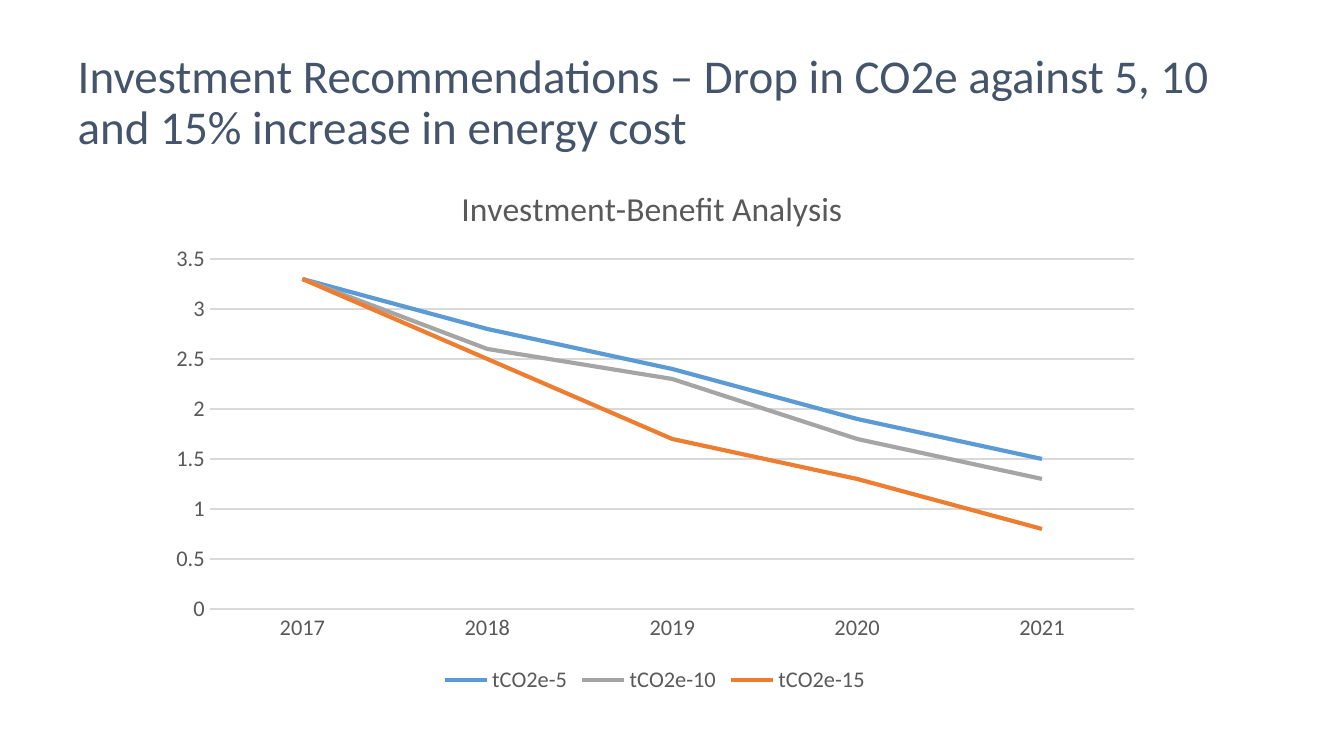
import pptx
import pptx.chart.data
import pptx.dml.color
import pptx.enum.chart
import pptx.enum.text
import pptx.oxml
import pptx.oxml.ns
import pptx.util
from pptx.util import Cm

HUES = {
    "title": "44546A",
    "text": "595959",
    "grid": "D9D9D9",
    "tCO2e-5": "5B9BD5",
    "tCO2e-10": "A5A5A5",
    "tCO2e-15": "ED7D31",
}


def style(font, size, hue):
    font.name = "Calibri"
    font.size = pptx.util.Pt(size)
    font.bold = False
    font.color.rgb = pptx.dml.color.RGBColor.from_string(HUES[hue])


def place(part, index, **sizes):
    """Give a chart part a fixed place, in fractions of the chart."""
    for old in part.findall(pptx.oxml.ns.qn("c:layout")):
        part.remove(old)
    inner = '<c:layoutTarget val="inner"/>' if "w" in sizes else ""
    modes = "".join(f'<c:{k}Mode val="edge"/>' for k in "xy")
    marks = "".join(f'<c:{k} val="{v}"/>' for k, v in sizes.items())
    part.insert(index, pptx.oxml.parse_xml(
        f'<c:layout {pptx.oxml.ns.nsdecls("c")}><c:manualLayout>'
        f"{inner}{modes}{marks}</c:manualLayout></c:layout>"))


deck = pptx.Presentation()
deck.slide_width, deck.slide_height = Cm(25.4), Cm(14.29)
slide = deck.slides.add_slide(deck.slide_layouts[6])

# Heading
box = slide.shapes.add_textbox(Cm(1.22), Cm(0.94), Cm(23.19), Cm(2.03))
frame = box.text_frame
frame.word_wrap = True
frame.vertical_anchor = pptx.enum.text.MSO_ANCHOR.MIDDLE
head = frame.paragraphs[0]
head.text = ("Investment Recommendations – Drop in CO2e against 5, 10 "
             "and 15% increase in energy cost")
head.line_spacing = 0.9
style(head.font, 25.2, "title")

# Chart data
data = pptx.chart.data.CategoryChartData()
data.categories = ["2017", "2018", "2019", "2020", "2021"]
data.add_series("tCO2e-5", [3.3, 2.8, 2.4, 1.9, 1.5])
data.add_series("tCO2e-10", [3.3, 2.6, 2.3, 1.7, 1.3])
data.add_series("tCO2e-15", [3.3, 2.5, 1.7, 1.3, 0.8])
chart = slide.shapes.add_chart(
    pptx.enum.chart.XL_CHART_TYPE.LINE,
    Cm(2.95), Cm(2.87), Cm(18.85), Cm(10.34), data).chart
style(chart.font, 12, "text")

# Chart title
chart.has_title = True
label = chart.chart_title.text_frame.paragraphs[0]
label.text = "Investment-Benefit Analysis"
style(label.font, 18, "text")
chart.chart_title.include_in_layout = False
place(chart.chart_title._element, 1, x=0.3, y=0.05)
place(chart._chartSpace.chart.plotArea, 0, x=0.054, y=0.196, w=0.927, h=0.64)

# Legend
chart.has_legend = True
chart.legend.position = pptx.enum.chart.XL_LEGEND_POSITION.BOTTOM
chart.legend.include_in_layout = False
style(chart.legend.font, 12, "text")

# Axes
years, tons = chart.category_axis, chart.value_axis
for axis in (years, tons):
    axis.major_tick_mark = pptx.enum.chart.XL_TICK_MARK.NONE
    axis.minor_tick_mark = pptx.enum.chart.XL_TICK_MARK.NONE
    style(axis.tick_labels.font, 12, "text")
tons.minimum_scale, tons.maximum_scale, tons.major_unit = 0, 3.5, 0.5
tons.has_major_gridlines = True
tons.format.line.fill.background()
for line in (years.format.line, tons.major_gridlines.format.line):
    line.color.rgb = pptx.dml.color.RGBColor.from_string(HUES["grid"])
    line.width = pptx.util.Pt(0.75)

# Lines
chart.plots[0].vary_by_categories = False
for row in chart.plots[0].series:
    row.smooth = False
    row.marker.style = pptx.enum.chart.XL_MARKER_STYLE.NONE
    row.format.line.color.rgb = pptx.dml.color.RGBColor.from_string(HUES[row.name])
    row.format.line.width = pptx.util.Pt(2.25)

deck.save("out.pptx")
